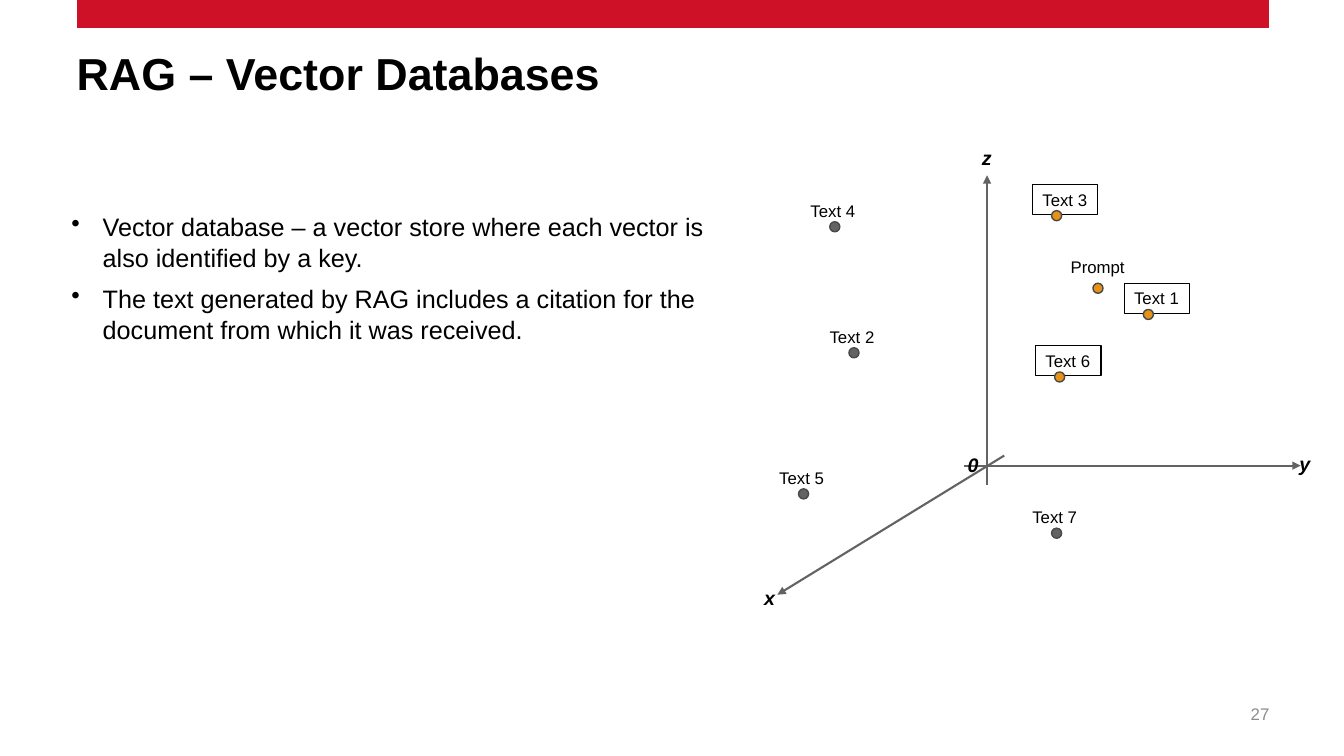
from pptx import Presentation
from pptx.dml.color import RGBColor
from pptx.enum.shapes import MSO_CONNECTOR, MSO_SHAPE
from pptx.enum.text import MSO_ANCHOR, PP_ALIGN
from pptx.oxml.ns import qn
from pptx.util import Inches, Pt
from lxml import etree

RED = RGBColor(0xCE, 0x11, 0x26)
BLACK = RGBColor(0x00, 0x00, 0x00)
PAGE_GRAY = RGBColor(0x8C, 0x8C, 0x8C)
AXIS_GRAY = RGBColor(0x61, 0x63, 0x65)
DOT_EDGE = RGBColor(0x48, 0x49, 0x4B)
ORANGE = RGBColor(0xE5, 0x92, 0x17)

STRAIGHT = MSO_CONNECTOR.STRAIGHT
RECTANGLE, OVAL = MSO_SHAPE.RECTANGLE, MSO_SHAPE.OVAL
TOP, MIDDLE = MSO_ANCHOR.TOP, MSO_ANCHOR.MIDDLE
LEFT, RIGHT = PP_ALIGN.LEFT, PP_ALIGN.RIGHT

LABEL_HEIGHT = 0.3
DOT_SIZE = 0.1


class VectorSlide:
    font_name = "Arial"

    def __init__(self, slide):
        self.shapes = slide.shapes

    def style(self, paragraph, size, color=BLACK, bold=False, italic=False):
        font = paragraph.font
        font.name, font.size = self.font_name, Pt(size)
        font.bold, font.italic = bold, italic
        font.color.rgb = color

    def text(self, box, words, size, color=BLACK, bold=False, italic=False,
             align=LEFT, anchor=TOP, spacing=None):
        """Add a text box without margins."""
        frame = self.shapes.add_textbox(*map(Inches, box)).text_frame
        frame.word_wrap = True
        frame.margin_left = frame.margin_right = 0
        frame.margin_top = frame.margin_bottom = 0
        frame.vertical_anchor = anchor
        paragraph = frame.paragraphs[0]
        paragraph.text, paragraph.alignment = words, align
        paragraph.line_spacing = spacing
        self.style(paragraph, size, color, bold, italic)

    def bullets(self, box, items, size):
        frame = self.shapes.add_textbox(*map(Inches, box)).text_frame
        frame.word_wrap = True
        for index, item in enumerate(items):
            paragraph = frame.add_paragraph() if index else frame.paragraphs[0]
            paragraph.text = item
            paragraph.line_spacing = 1.05
            paragraph.space_before = Pt(6 if index else 0)
            properties = paragraph._p.get_or_add_pPr()
            properties.set("marL", str(Inches(0.31)))
            properties.set("indent", str(-Inches(0.31)))
            etree.SubElement(properties, qn("a:buChar")).set("char", "•")
            self.style(paragraph, size)

    def line(self, start, end, color, width, arrow=False):
        line = self.shapes.add_connector(STRAIGHT, *map(Inches, start + end))
        line.line.color.rgb, line.line.width = color, Pt(width)
        if arrow:
            outline = line.line._get_or_add_ln()
            etree.SubElement(outline, qn("a:tailEnd")).set("type", "triangle")
        etree.SubElement(line._element.spPr, qn("a:effectLst"))

    def shape(self, kind, box, fill, edge, edge_width):
        shape = self.shapes.add_shape(kind, *map(Inches, box))
        shape.shadow.inherit = False
        if fill is None:
            shape.fill.background()
        else:
            shape.fill.solid()
            shape.fill.fore_color.rgb = fill
        shape.line.color.rgb, shape.line.width = edge, Pt(edge_width)
        return shape

    def label(self, box, words, size, framed=False, bold=False, italic=False):
        if framed:
            label = self.shape(RECTANGLE, box, None, BLACK, 0.75)
        else:
            label = self.shapes.add_textbox(*map(Inches, box))
        frame = label.text_frame
        frame.word_wrap = False
        frame.vertical_anchor = TOP
        paragraph = frame.paragraphs[0]
        paragraph.text, paragraph.alignment = words, LEFT
        self.style(paragraph, size, bold=bold, italic=italic)

    def point(self, words, left, top, width=0.65, dot_offset=(0.29, 0.26),
              color=AXIS_GRAY, framed=False):
        """Add a labelled vector with its dot."""
        self.label((left, top, width, LABEL_HEIGHT), words, 12, framed)
        dot = (left + dot_offset[0], top + dot_offset[1], DOT_SIZE, DOT_SIZE)
        self.shape(OVAL, dot, color, DOT_EDGE, 1)


def main():
    deck = Presentation()
    deck.slide_width, deck.slide_height = Inches(13.33), Inches(7.5)
    page = VectorSlide(deck.slides.add_slide(deck.slide_layouts[6]))

    page.line((0.76, 0.14), (12.59, 0.14), RED, 20)
    page.text((12.01, 6.98, 0.58, 0.4), "27", 12, PAGE_GRAY, align=RIGHT)
    page.text((0.76, 0.5, 11.82, 0.54), "RAG – Vector Databases", 32,
              bold=True, anchor=MIDDLE, spacing=0.8)
    page.bullets((0.61, 2.03, 6.95, 1.4), [
        "Vector database – a vector store where each vector is also "
        "identified by a key.",
        "The text generated by RAG includes a citation for the document "
        "from which it was received.",
    ], 18)

    axes = [
        ((9.79, 4.81), (9.79, 1.74)),
        ((9.56, 4.62), (12.9, 4.62)),
        ((9.96, 4.52), (7.71, 5.9)),
    ]
    for start, end in axes:
        page.line(start, end, AXIS_GRAY, 1.5, arrow=True)

    axis_names = [("y", 12.79, 4.43), ("x", 7.48, 5.76),
                  ("z", 9.64, 1.4), ("0", 9.5, 4.44)]
    for name, left, top in axis_names:
        page.label((left, top, 0.3, 0.34), name, 14, bold=True, italic=True)

    retrieved = [("Text 1", 11.15, 2.81), ("Text 6", 10.27, 3.43),
                 ("Text 3", 10.24, 1.83)]
    for name, left, top in retrieved:
        page.point(name, left, top, dot_offset=(0.19, 0.26), color=ORANGE,
                   framed=True)

    others = [("Text 2", 8.13, 3.19), ("Text 4", 7.94, 1.94),
              ("Text 5", 7.63, 4.59), ("Text 7", 10.14, 4.98)]
    for name, left, top in others:
        page.point(name, left, top)

    page.point("Prompt", 10.52, 2.5, width=0.74, dot_offset=(0.32, 0.31),
               color=ORANGE)

    deck.save("out.pptx")


if __name__ == "__main__":
    main()
